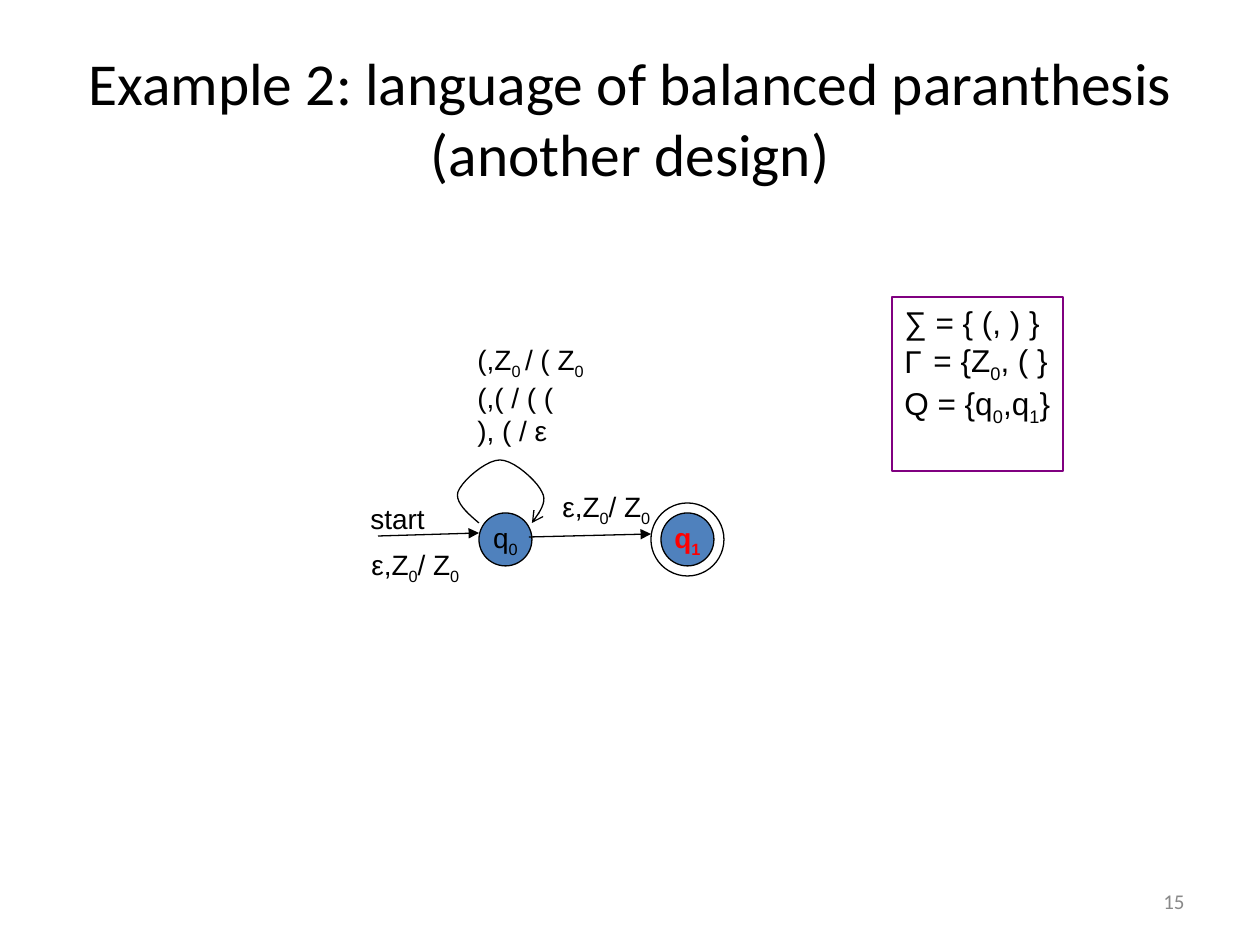
from lxml.etree import SubElement
from pptx import Presentation
from pptx.dml.color import RGBColor
from pptx.enum.shapes import MSO_CONNECTOR as CONN, MSO_SHAPE as SHAPE
from pptx.enum.text import MSO_ANCHOR as ANCHOR, MSO_AUTO_SIZE as AUTO, PP_ALIGN as ALIGN
from pptx.oxml.ns import qn
from pptx.util import Pt

PX = 914400 / 126
BLACK, RED, BLUE, PURPLE, GREY = "000000", "FF0000", "4F81BD", "800080", "898989"


def rgb(value):
    return RGBColor.from_string(value)


def write(sp, lines, size=16, color=BLACK, name="Arial", bold=False,
          align=ALIGN.LEFT, anchor=ANCHOR.TOP, wrap=False):
    """Fill a shape with lines; underscores switch subscript on and off."""
    tf = sp.text_frame
    frame = {"word_wrap": wrap, "auto_size": AUTO.NONE, "vertical_anchor": anchor}
    for key, value in frame.items():
        setattr(tf, key, value)
    for i, line in enumerate(lines):
        p = tf.paragraphs[0] if i == 0 else tf.add_paragraph()
        p.alignment = align
        for j, part in enumerate(line.split("_")):
            if not part:
                continue
            r = p.add_run()
            r.text = part
            for key, value in {"size": Pt(size), "name": name, "bold": bold}.items():
                setattr(r.font, key, value)
            r.font.color.rgb = rgb(color)
            if j % 2:
                r.font._element.set("baseline", "-25000")


prs = Presentation()
prs.slide_width, prs.slide_height = round(1260 * PX), round(945 * PX)
s = prs.slides.add_slide(prs.slide_layouts[5])

# Title
title = s.shapes.title
for key, value in {"left": 63, "top": 38, "width": 1134, "height": 158}.items():
    setattr(title, key, round(value * PX))
write(title, ["Example 2: language of balanced paranthesis (another design)"],
      size=34, name="Calibri", align=ALIGN.CENTER, anchor=ANCHOR.MIDDLE, wrap=True)

# Alphabets, states and automaton nodes
nodes = {}
for key, kind, box, fill, line in [
    ("sets", SHAPE.RECTANGLE, (892, 297, 171, 174), None, PURPLE),
    ("start", SHAPE.OVAL, (479, 513, 53, 53), BLUE, BLACK),
    ("ring", SHAPE.OVAL, (651, 503, 73, 73), None, BLACK),
    ("final", SHAPE.OVAL, (661, 513, 53, 53), BLUE, BLACK),
]:
    sp = s.shapes.add_shape(kind, *[round(v * PX) for v in box])
    sp.shadow.inherit = False
    if fill:
        sp.fill.solid()
        sp.fill.fore_color.rgb = rgb(fill)
    else:
        sp.fill.background()
    sp.line.color.rgb = rgb(line)
    sp.line.width = Pt(0.75)
    nodes[key] = sp

write(nodes["sets"], ["∑ = { (, ) }", "= {Z_0_, ( }", "Q = {q_0_,q_1_}"], size=18)
centred = {"align": ALIGN.CENTER, "anchor": ANCHOR.MIDDLE}
write(nodes["start"], ["q_0"], **centred)
write(nodes["final"], ["q_1"], color=RED, bold=True, **centred)

# Gamma stands as the bullet of the second line
pPr = nodes["sets"].text_frame.paragraphs[1]._p.get_or_add_pPr()
pPr.set("marL", str(round(29 * PX)))
pPr.set("indent", str(round(-29 * PX)))
SubElement(pPr, qn("a:buFont"), typeface="Arial")
SubElement(pPr, qn("a:buChar"), char="Γ")

# Self-loop, sampled along three Bezier curves
curves = [
    [(479, 523), (467, 513), (455, 502), (458, 492)],
    [(458, 492), (462, 481), (486, 460), (500, 460)],
    [(500, 460), (514, 460), (537, 481), (542, 492)],
    [(542, 492), (548, 502), (539, 513), (532, 523)],
]
STEPS = 10
points = []
for curve in curves:
    for k in range(1, STEPS + 1):
        t = k / STEPS
        weights = ((1 - t) ** 3, 3 * t * (1 - t) ** 2, 3 * t * t * (1 - t), t ** 3)
        points.append([sum(w * pt[axis] for w, pt in zip(weights, curve)) * PX
                       for axis in (0, 1)])
builder = s.shapes.build_freeform(*[v * PX for v in curves[0][0]])
builder.add_line_segments(points, close=False)
loop = builder.convert_to_shape()
loop.shadow.inherit = False
loop.fill.background()

# Transitions
arrows = [(loop, "arrow")]
for ends in [(378, 536, 479, 533), (529, 537, 651, 534)]:
    c = s.shapes.add_connector(CONN.STRAIGHT, *[round(v * PX) for v in ends])
    SubElement(c._element.spPr, qn("a:effectLst"))
    arrows.append((c, "triangle"))
for sp, head in arrows:
    sp.line.color.rgb = rgb(BLACK)
    sp.line.width = Pt(0.75)
    SubElement(sp.line._get_or_add_ln(), qn("a:tailEnd"), type=head)

# Labels and slide number
move = "ε,Z_0_/ Z_0"
number = {"size": 12, "color": GREY, "name": "Calibri", "align": ALIGN.RIGHT,
          "anchor": ANCHOR.MIDDLE, "wrap": True}
for box, lines, style in [
    ((465, 336, 131, 118), ["(,Z_0 _/ ( Z_0", "(,( / ( (", "), ( / ε"], {}),
    ((358, 495, 79, 47), ["start"], {}),
    ((550, 483, 120, 52), [move], {}),
    ((359, 541, 120, 52), [move], {}),
    ((903, 876, 294, 50), ["15"], number),
]:
    write(s.shapes.add_textbox(*[round(v * PX) for v in box]), lines, **style)

prs.save("out.pptx")
